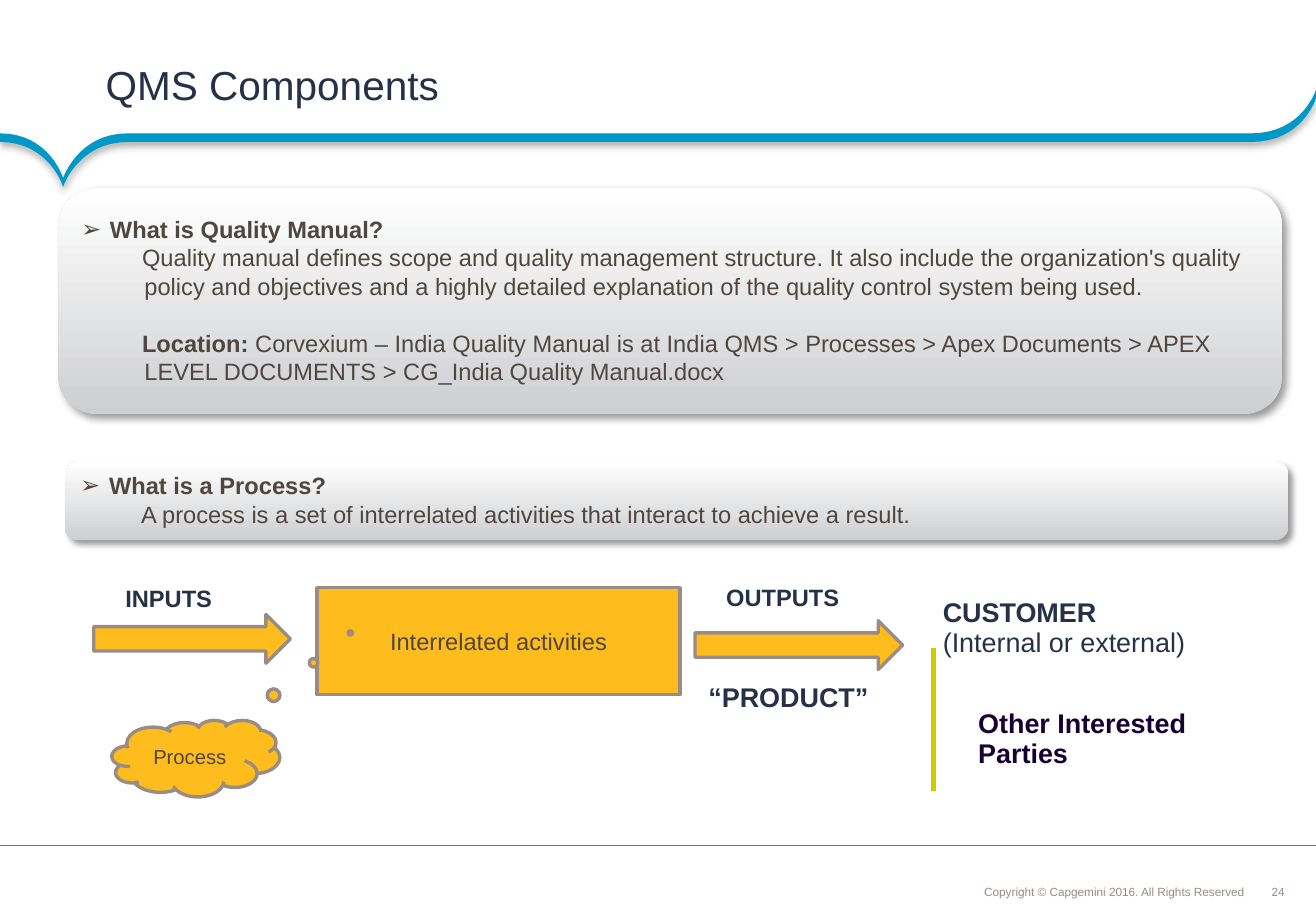
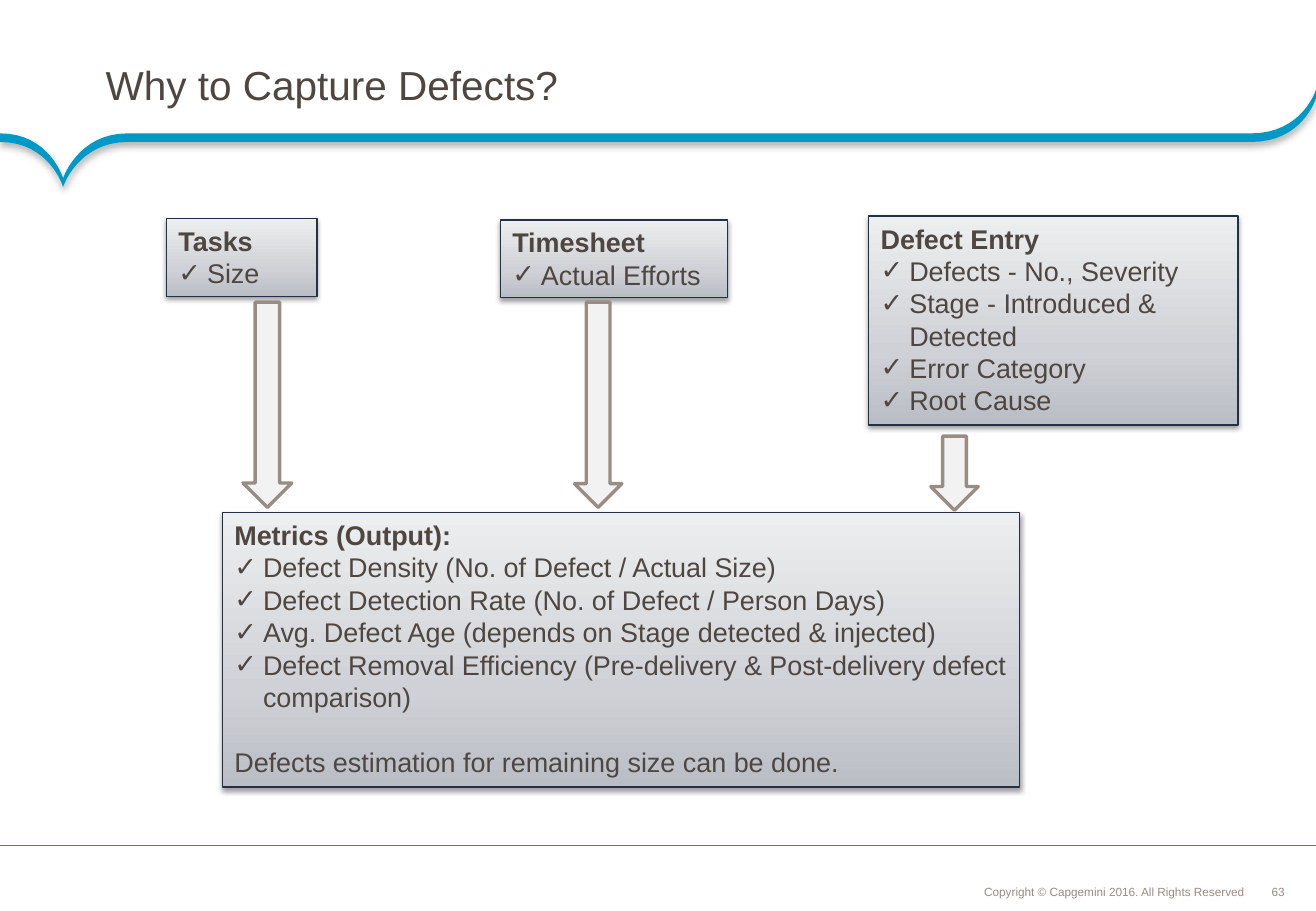
from pptx import Presentation
from pptx.dml.color import RGBColor
from pptx.enum.shapes import MSO_CONNECTOR, MSO_SHAPE
from pptx.enum.text import MSO_ANCHOR, MSO_AUTO_SIZE, PP_ALIGN
from pptx.oxml import parse_xml
from pptx.oxml.ns import nsdecls, qn
from pptx.util import Cm, Pt

WIDE, HIGH = 27.51, 19.05
FONT = "Arial"
BLUE = RGBColor(0x00, 0x98, 0xC7)
NAVY = RGBColor(0x26, 0x31, 0x47)
EDGE = RGBColor(0x24, 0x30, 0x46)
BROWN = RGBColor(0x4E, 0x46, 0x41)
TAUPE = RGBColor(0x99, 0x8C, 0x85)
GOLD = RGBColor(0xFF, 0xBC, 0x1D)
LIME = RGBColor(0xCB, 0xCC, 0x00)
PLUM = RGBColor(0x19, 0x00, 0x33)
PALE = RGBColor(0xF2, 0xF2, 0xF2)

# Gradients run upwards: (percent, colour)
SILVER = [(0, "CECFD1"), (100, "FFFFFF")]
STEEL = [(0, "BABDC4"), (35, "CFD1D6"), (100, "EDEEEF")]
# Shadows: opacity percent, blur points, distance points, angle
BAND_SHADE = (31, 4, 2, 90)
PANEL_SHADE = (40, 4, 3, 45)
CARD_SHADE = (38, 3.1, 1.6, 90)

COPYRIGHT = "Copyright © Capgemini 2016. All Rights Reserved"
# Upper edge of the band: start, two controls, end of each curve
CURVES = [
    [(0, 2.79), (1.04, 2.79), (1.32, 3.73), (1.32, 3.73)],
    [(1.32, 3.73), (1.32, 3.73), (1.63, 2.79), (2.67, 2.79)],
    [(26.16, 2.79), (27.23, 2.79), (WIDE, 1.88), (WIDE, 1.88)],
]
THICK = 0.18

# Paragraphs: (style, [(text, bold), ...])
HEAD, ITEM, ARROW, BODY, GAP, LAST = "head", "item", "arrow", "body", "gap", "last"
INDENT = {  # left, first line, bullet
    ITEM: (0.6, -0.6, "✓"),
    ARROW: (0.6, -0.6, "➢"),
    BODY: (1.32, -0.05, None),
    GAP: (1.32, -0.05, None),
}

PANELS = [
    ((1.22, 3.94, 25.58, 4.72), [
        (ARROW, [("What is Quality Manual?", True)]),
        (BODY, [("Quality manual defines scope and quality management structure. "
                 "It also include the organization's quality policy and objectives "
                 "and a highly detailed explanation of the quality control system "
                 "being used.", False)]),
        (GAP, [("Location:", True),
               (" Corvexium – India Quality Manual is at India QMS > Processes > "
                "Apex Documents > APEX LEVEL DOCUMENTS > "
                "CG_India Quality Manual.docx", False)]),
    ]),
    ((1.35, 9.65, 25.58, 1.65), [
        (ARROW, [("What is a Process?", True)]),
        (BODY, [("A process is a set of interrelated activities that interact "
                 "to achieve a result.", False)]),
    ]),
]
LABELS = [  # place, size, colour, lines
    ((2.62, 12.25, 2.7, 0.7), 14, NAVY, [("INPUTS", True)]),
    ((15.18, 12.23, 3.9, 0.7), 14, NAVY, [("OUTPUTS", True)]),
    ((14.81, 14.28, 4.67, 0.8), 16, NAVY, [("“PRODUCT”", True)]),
    ((19.71, 12.51, 6.3, 1.6), 16, NAVY,
     [("CUSTOMER", True), ("(Internal or external)", False)]),
    ((20.45, 14.82, 5.5, 1.6), 16, PLUM,
     [("Other Interested", True), ("Parties", True)]),
]
FLOW = [  # kind, place, text, size
    (MSO_SHAPE.RECTANGLE, (6.63, 12.29, 7.59, 2.24), "Interrelated activities", 14),
    (MSO_SHAPE.RIGHT_ARROW, (1.96, 12.85, 4.11, 1.02), "", 14),
    (MSO_SHAPE.RIGHT_ARROW, (14.53, 12.98, 4.34, 1.02), "", 14),
    (MSO_SHAPE.CLOUD_CALLOUT, (2.34, 15.06, 3.51, 1.6), "Process", 12),
]
TAIL = (0.92, -1.64)
RULE = (19.51, 16.54, 19.51, 13.54)

CARDS = [  # place, heading, checked items, closing line
    ((3.48, 4.57, 3.15, 1.63), "Tasks", ["Size"], ""),
    ((18.16, 4.52, 7.72, 4.37), "Defect Entry",
     ["Defects - No., Severity", "Stage - Introduced & Detected",
      "Error Category", "Root Cause"], ""),
    ((4.65, 10.72, 16.66, 5.74), "Metrics (Output):",
     ["Defect Density (No. of Defect / Actual Size)",
      "Defect Detection Rate (No. of Defect / Person Days)",
      "Avg. Defect Age (depends on Stage detected & injected)",
      "Defect Removal Efficiency (Pre-delivery & Post-delivery defect comparison)"],
     "Defects estimation for remaining size can be done."),
    ((10.46, 4.6, 4.75, 1.63), "Timesheet", ["Actual Efforts"], ""),
]
DROPS = [(5.08, 6.32, 1.02, 4.29), (12.01, 6.32, 0.99, 4.29), (19.46, 9.12, 0.99, 1.55)]


def cms(vals):
    return [Cm(v) for v in vals]


def write(para, text, size, color, bold=False):
    run = para.add_run()
    run.text = text
    font = run.font
    font.name, font.size, font.bold = FONT, Pt(size), bold
    font.color.rgb = color


def frame(shape, pads=None, anchor=MSO_ANCHOR.TOP):
    text = shape.text_frame
    text.word_wrap = True
    text.auto_size = MSO_AUTO_SIZE.NONE
    text.vertical_anchor = anchor
    if pads:
        (text.margin_left, text.margin_top,
         text.margin_right, text.margin_bottom) = cms(pads)
    return text


def lines(text, count):
    """Yield the given number of paragraphs, starting with the one present."""
    for i in range(count):
        yield text.add_paragraph() if i else text.paragraphs[0]


def indent(para, style):
    if style not in INDENT:
        return
    left, first, mark = INDENT[style]
    props = para._p.get_or_add_pPr()
    props.set("marL", str(Cm(left)))
    props.set("indent", str(Cm(first)))
    if mark:
        props.append(parse_xml(f'<a:buFont {nsdecls("a")} typeface="{FONT}"/>'))
        props.append(parse_xml(f'<a:buChar {nsdecls("a")} char="{mark}"/>'))


def fill_text(text, paras, size):
    lead = round(size * 1.2, 1)
    for para, (style, runs) in zip(lines(text, len(paras)), paras):
        indent(para, style)
        para.alignment = PP_ALIGN.LEFT
        para.line_spacing = Pt(lead)
        if style in (GAP, LAST):
            para.space_before = Pt(lead)
        for words, bold in runs:
            write(para, words, size, BROWN, bold)


def shade(shape, look):
    alpha, blur, dist, angle = look
    shape.shadow.inherit = False
    shape.element.spPr.find(qn("a:effectLst")).append(parse_xml(
        f'<a:outerShdw {nsdecls("a")} blurRad="{Pt(blur)}" dist="{Pt(dist)}" '
        f'dir="{angle * 60000}" algn="ctr" rotWithShape="0"><a:srgbClr val="000000">'
        f'<a:alpha val="{alpha * 1000}"/></a:srgbClr></a:outerShdw>'))


def blend(shape, stops):
    shape.fill.gradient()
    props = shape.element.spPr
    marks = "".join(f'<a:gs pos="{pos * 1000}"><a:srgbClr val="{color}"/></a:gs>'
                    for pos, color in stops)
    props.replace(props.find(qn("a:gradFill")), parse_xml(
        f'<a:gradFill {nsdecls("a")} rotWithShape="1"><a:gsLst>{marks}</a:gsLst>'
        '<a:lin ang="16200000" scaled="0"/></a:gradFill>'))


def solid(slide, kind, place, color):
    shape = slide.shapes.add_shape(kind, *cms(place))
    shape.shadow.inherit = False
    shape.fill.solid()
    shape.fill.fore_color.rgb = color
    shape.line.color.rgb = TAUPE
    shape.line.width = Pt(2)
    return shape


def rule(slide, ends, color, width):
    line = slide.shapes.add_connector(MSO_CONNECTOR.STRAIGHT, *cms(ends))
    line.line.color.rgb = color
    line.line.width = Pt(width)
    line.element.spPr.append(parse_xml(f'<a:effectLst {nsdecls("a")}/>'))
    return line


def label(slide, place, pads=(0, 0, 0, 0), anchor=MSO_ANCHOR.TOP):
    box = slide.shapes.add_textbox(*cms(place))
    return box, frame(box, pads, anchor)


def bend(curve, steps=16):
    """Points along a cubic curve."""
    for i in range(steps + 1):
        t = i / steps
        parts = ((1 - t) ** 3, 3 * t * (1 - t) ** 2, 3 * t * t * (1 - t), t ** 3)
        yield tuple(sum(w * p[k] for w, p in zip(parts, curve)) for k in (0, 1))


def band(slide):
    top = [spot for curve in CURVES for spot in bend(curve)]
    ring = [cms(p) for p in top + [(x, y + THICK) for x, y in reversed(top)]]
    pen = slide.shapes.build_freeform(*ring[0], scale=1.0)
    pen.add_line_segments(ring[1:], close=True)
    shape = pen.convert_to_shape()
    shape.fill.solid()
    shape.fill.fore_color.rgb = BLUE
    shape.line.fill.background()
    shade(shape, BAND_SHADE)
    return shape


def set_layout(layout, slide):
    """Draw the shared parts on a slide, then move them to its layout."""
    for ph in list(layout.placeholders):
        if ph.placeholder_format.idx >= 10:
            layout.shapes.element.remove(ph.element)
    title = layout.placeholders[0]
    title.left, title.top, title.width, title.height = cms((1.37, 0.76, 24.77, 2.16))
    frame(title, (0.84, 0.1, 0.46, 0.1), MSO_ANCHOR.MIDDLE)
    note, text = label(slide, (18.72, 18.39, 7.39, 0.51), (0.1,) * 4, MSO_ANCHOR.BOTTOM)
    para = text.paragraphs[0]
    para.alignment = PP_ALIGN.RIGHT
    para.line_spacing = 0.9
    write(para, COPYRIGHT, 7, TAUPE)
    foot = rule(slide, (WIDE, 17.68, 0, 17.68), BLUE, 0.75)
    for part in (band(slide), note, foot):
        layout.shapes.element.append(part.element)


def start(slide, title, color, number):
    para = slide.shapes.title.text_frame.paragraphs[0]
    para.alignment = PP_ALIGN.LEFT
    para.line_spacing = 0.85
    write(para, title, 24, color)
    text = label(slide, (26.57, 18.49, 0.3, 0.3), anchor=MSO_ANCHOR.MIDDLE)[1]
    text.word_wrap = False
    text.paragraphs[0].alignment = PP_ALIGN.CENTER
    write(text.paragraphs[0], number, 7, TAUPE)


def draw_parts(slide):
    rule(slide, RULE, LIME, 3)
    for place, size, color, rows in LABELS:
        text = label(slide, place)[1]
        for para, (words, bold) in zip(lines(text, len(rows)), rows):
            para.line_spacing = Pt(round(size * 1.11, 1))
            write(para, words, size, color, bold)
    for kind, place, words, size in FLOW:
        shape = solid(slide, kind, place, GOLD)
        if kind == MSO_SHAPE.CLOUD_CALLOUT:
            shape.adjustments[0], shape.adjustments[1] = TAIL
        if words:
            para = frame(shape, anchor=MSO_ANCHOR.MIDDLE).paragraphs[0]
            para.alignment = PP_ALIGN.CENTER
            write(para, words, size, BROWN)
    for place, paras in PANELS:
        shape = slide.shapes.add_shape(MSO_SHAPE.ROUNDED_RECTANGLE, *cms(place))
        blend(shape, SILVER)
        shape.line.fill.background()
        shade(shape, PANEL_SHADE)
        fill_text(frame(shape, (0.25, 0.2, 0.13, 0.25), MSO_ANCHOR.MIDDLE), paras, 14)


def draw_cards(slide):
    for place, head, items, last in CARDS:
        shape = slide.shapes.add_shape(MSO_SHAPE.RECTANGLE, *cms(place))
        blend(shape, STEEL)
        shape.line.color.rgb = EDGE
        shape.line.width = Pt(0.75)
        shade(shape, CARD_SHADE)
        paras = [(HEAD, [(head, True)])] + [(ITEM, [(item, False)]) for item in items]
        if last:
            paras.append((LAST, [(last, False)]))
        fill_text(frame(shape), paras, 16)
    for place in DROPS:
        solid(slide, MSO_SHAPE.DOWN_ARROW, place, PALE)


def main():
    deck = Presentation()
    deck.slide_width, deck.slide_height = cms((WIDE, HIGH))
    layout = deck.slide_layouts[5]
    parts, cards = [deck.slides.add_slide(layout) for _ in range(2)]
    set_layout(layout, parts)
    start(parts, "QMS Components", NAVY, "24")
    draw_parts(parts)
    start(cards, "Why to Capture Defects?", BROWN, "63")
    draw_cards(cards)
    deck.save("out.pptx")


if __name__ == "__main__":
    main()
